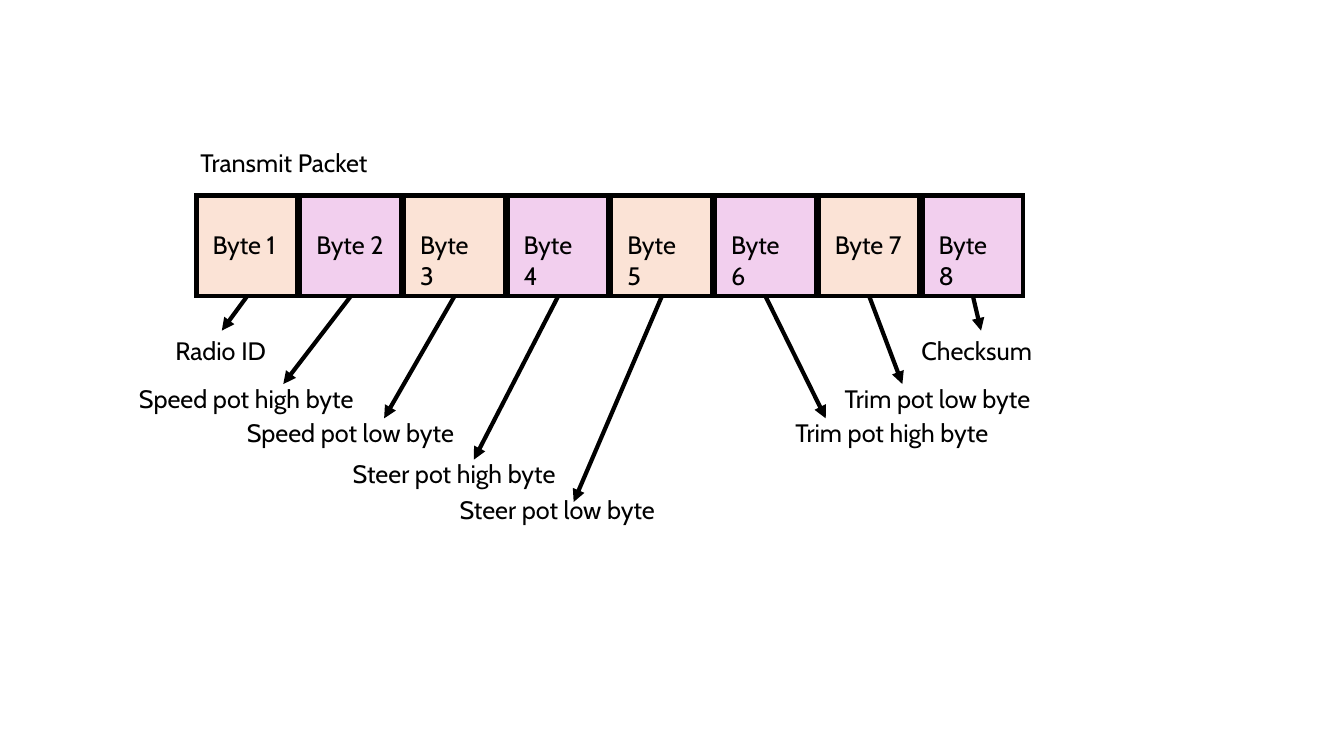
from pptx import Presentation
from pptx.dml.color import RGBColor
from pptx.enum.shapes import MSO_CONNECTOR as Connector, MSO_SHAPE as Shape
from pptx.enum.text import MSO_ANCHOR as Anchor, MSO_AUTO_SIZE as AutoSize
from pptx.oxml.ns import qn
from pptx.util import Inches, Pt
from lxml.etree import SubElement

PACKET_LEFT, PACKET_TOP = 1.95, 1.94
BYTE_SIZE = 1
COLUMN_PITCH = 7.2 / 7
LABEL_HEIGHT = 0.4
BYTE_LABEL_HEIGHT = 0.68
ONE_LINE_BYTES = (1, 2, 7)
BOTTOM_SIDE = 2
BLACK, WHITE = "000000", "FFFFFF"
PEACH, PINK = "FBE3D6", "F2CFEE"

FIELDS = [
    ("Radio ID", (1.64, 3.28, 1.12), (2.2, 3.28)),
    ("Speed pot high byte", (1.28, 3.75, 2.34), (2.81, 3.81)),
    ("Speed pot low byte", (2.35, 4.09, 2.26), (3.81, 4.15)),
    ("Steer pot high byte", (3.4, 4.5, 2.22), (4.7, 4.56)),
    ("Steer pot low byte", (4.46, 4.86, 2.14), (5.69, 4.98)),
    ("Trim pot high byte", (7.79, 4.09, 2.16), (8.19, 4.15)),
    ("Trim pot low byte", (8.28, 3.75, 2.06), (8.95, 3.81)),
    ("Checksum", (9.04, 3.28, 1.38), (9.73, 3.28)),
]


def color(hex_value):
    return RGBColor.from_string(hex_value)


def column_left(column):
    return PACKET_LEFT + column * COLUMN_PITCH


def add_box(shapes, left, top, width, height, fill, line, line_width):
    box = shapes.add_shape(
        Shape.RECTANGLE, Inches(left), Inches(top), Inches(width), Inches(height)
    )
    box.shadow.inherit = False
    box.fill.solid()
    box.fill.fore_color.rgb = color(fill)
    box.line.color.rgb = color(line)
    box.line.width = Pt(line_width)
    SubElement(box.line._get_or_add_ln(), qn("a:miter"), lim="800000")
    return box


def add_label(shapes, text, left, top, width, height=LABEL_HEIGHT, wrap=False):
    label = shapes.add_textbox(
        Inches(left), Inches(top), Inches(width), Inches(height)
    )
    frame = label.text_frame
    frame.word_wrap = wrap
    frame.auto_size = AutoSize.NONE if wrap else AutoSize.SHAPE_TO_FIT_TEXT
    frame.vertical_anchor = Anchor.TOP
    paragraph = frame.paragraphs[0]
    paragraph.text = text
    paragraph.font.name = "Cabin"
    paragraph.font.size = Pt(18)
    paragraph.font.color.rgb = color(BLACK)
    return label


def add_byte(slide, column):
    left = column_left(column)
    number = column + 1
    fill = PINK if column % 2 else PEACH
    group = slide.shapes.add_group_shape()
    square = add_box(
        group.shapes, left, PACKET_TOP, BYTE_SIZE, BYTE_SIZE, fill, BLACK, 3
    )
    label = add_label(
        group.shapes,
        f"Byte {number}",
        left + 0.06,
        PACKET_TOP + 0.29,
        0.9 if number in ONE_LINE_BYTES else 0.82,
        BYTE_LABEL_HEIGHT,
        wrap=True,
    )
    label.text_frame.margin_bottom = 0
    if fill == PINK:
        label.fill.solid()
        label.fill.fore_color.rgb = color(fill)
    return square


def add_arrow(slide, square, tip):
    tip_x, tip_y = (Inches(value) for value in tip)
    arrow = slide.shapes.add_connector(
        Connector.STRAIGHT, square.left, square.top, tip_x, tip_y
    )
    arrow.begin_connect(square, BOTTOM_SIDE)
    arrow.line.color.rgb = color(BLACK)
    arrow.line.width = Pt(3)
    SubElement(arrow.line._get_or_add_ln(), qn("a:tailEnd"), type="triangle")
    SubElement(arrow._element.spPr, qn("a:effectLst"))


def main():
    presentation = Presentation()
    presentation.slide_width = Inches(13.33)
    presentation.slide_height = Inches(7.5)
    slide = presentation.slides.add_slide(presentation.slide_layouts[6])

    add_box(slide.shapes, 1.33, 1.41, 9.02, 3.86, WHITE, WHITE, 1.5)
    squares = [add_byte(slide, column) for column in range(len(FIELDS))]
    for text, place, _ in FIELDS:
        add_label(slide.shapes, text, *place)
    for square, (_, _, tip) in zip(squares, FIELDS):
        add_arrow(slide, square, tip)
    add_label(slide.shapes, "Transmit Packet", 1.89, 1.41, 1.93)

    presentation.save("out.pptx")


if __name__ == "__main__":
    main()
